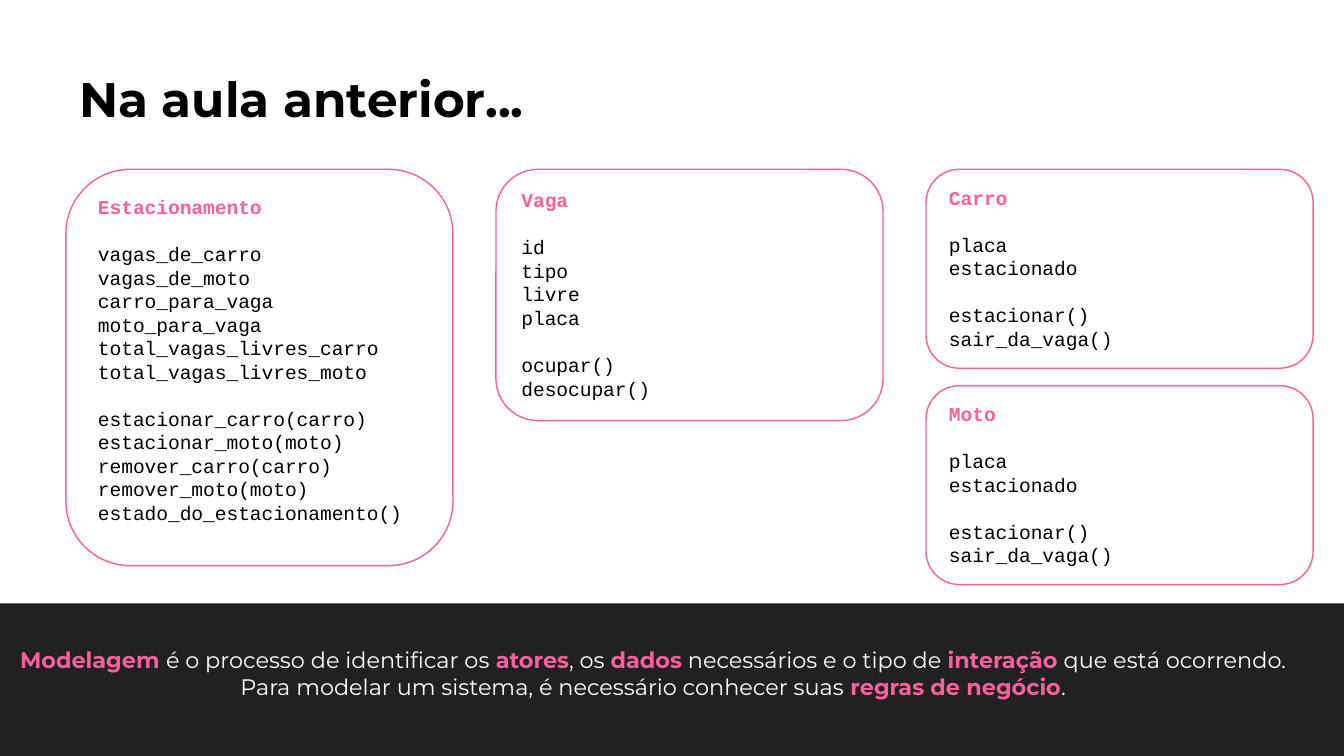
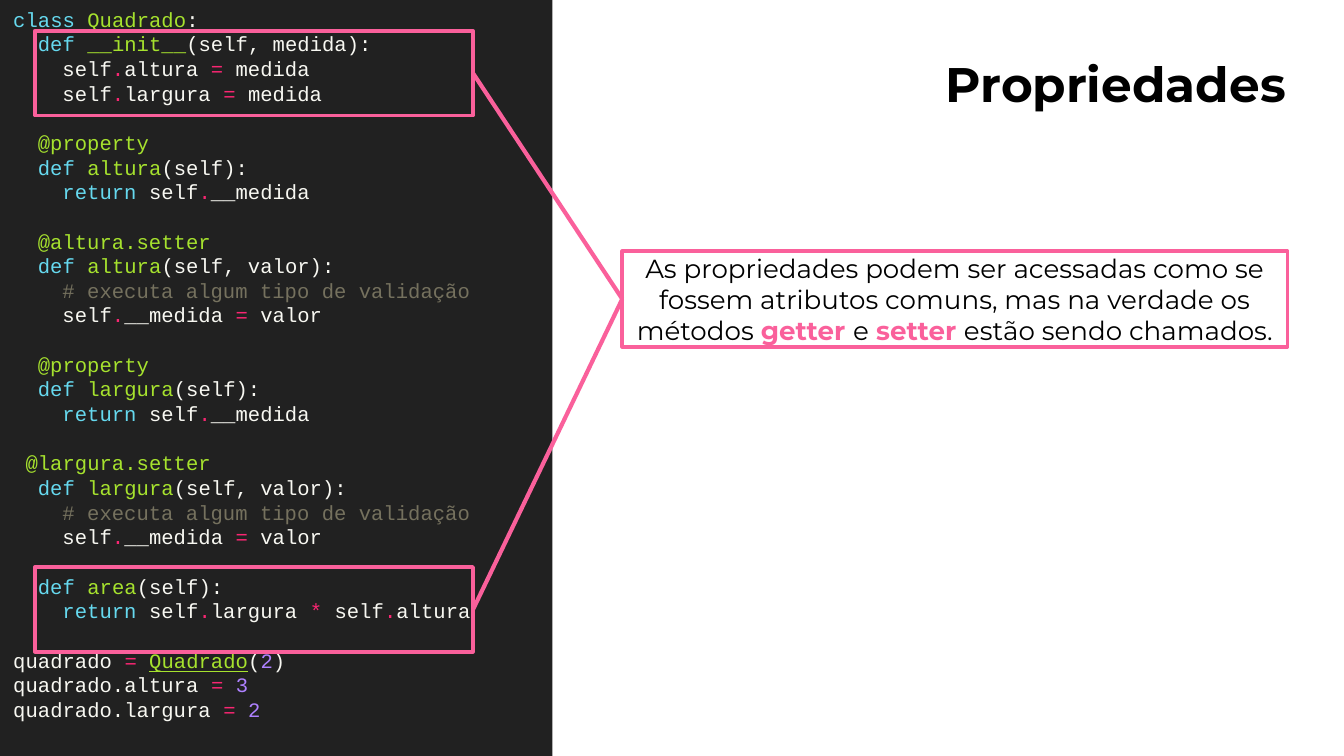
from pptx import Presentation
from pptx.dml.color import RGBColor
from pptx.enum.shapes import MSO_CONNECTOR, MSO_SHAPE as SHAPE
from pptx.enum.text import MSO_ANCHOR, PP_ALIGN as ALIGN
from pptx.oxml.ns import qn
from pptx.util import Inches, Pt
from lxml import etree

# Palette and type
PINK = RGBColor(0xFA, 0x60, 0x9B)
BLACK = RGBColor(0x00, 0x00, 0x00)
WHITE = RGBColor(0xFF, 0xFF, 0xFF)
DARK = RGBColor(0x21, 0x21, 0x21)
KEYWORD = RGBColor(0x66, 0xD9, 0xEF)
NAME = RGBColor(0xA6, 0xE2, 0x2E)
PLAIN = RGBColor(0xF8, 0xF8, 0xF2)
OPERATOR = RGBColor(0xF9, 0x26, 0x72)
COMMENT = RGBColor(0x75, 0x71, 0x5E)
NUMBER = RGBColor(0xAE, 0x81, 0xFF)
SANS, MONO = "Montserrat", "Courier New"
LEADING = 1.2

prs = Presentation()
prs.slide_width, prs.slide_height = Inches(10), Inches(5.625)
COL, ROW = prs.slide_width / 100, prs.slide_height / 100  # 100 x 100 grid


def add_box(slide, kind, left, top, width, height, fill=None, line=None):
    """Place a box on the grid; without a kind it is a plain text box."""
    place = [int(left * COL), int(top * ROW), int(width * COL), int(height * ROW)]
    if kind is None:
        box = slide.shapes.add_textbox(*place)
    else:
        box = slide.shapes.add_shape(kind, *place)
        box.shadow.inherit = False
        if fill is None:
            box.fill.background()
        else:
            box.fill.solid()
            box.fill.fore_color.rgb = fill
        if line is None:
            box.line.fill.background()
        else:
            box.line.color.rgb = PINK
            box.line.width = Pt(line)
    box.text_frame.word_wrap = True
    box.text_frame.vertical_anchor = MSO_ANCHOR.TOP
    return box


def write(paragraph, runs, font, size, bold_color=None, align=ALIGN.LEFT):
    """Add (text, colour) runs; runs in bold_color become bold."""
    paragraph.alignment = align
    for text, color in runs:
        run = paragraph.add_run()
        run.text = text
        run.font.name, run.font.size = font, Pt(size)
        run.font.color.rgb = color
        run.font.bold = color == bold_color


# Slides and their titles
slides = []
for heading, left, top, width, align in (
    ("Na aula anterior...", 4.9, 7.29, 78.3, ALIGN.LEFT),
    ("Propriedades", 45.6, 5.33, 51.1, ALIGN.RIGHT),
):
    slide = prs.slides.add_slide(prs.slide_layouts[6])
    title = add_box(slide, None, left, top, width, 11.38).text_frame
    title.margin_top = title.margin_bottom = Inches(0.1)
    write(title.paragraphs[0], [(heading, BLACK)], SANS, 26, BLACK, align)
    slides.append(slide)
modeling, properties = slides

# Slide 1: class cards (column, top, height, class, attributes, methods)
CARD_LEFT, CARD_STEP, CARD_WIDTH, CARD_TOP, CARD_SIZE = 4.9, 32, 28.8, 22.4, 10.5
vehicle = ["placa", "estacionado"], ["estacionar()", "sair_da_vaga()"]
cards = [
    (0, CARD_TOP, 52.44, "Estacionamento",
     ["vagas_de_carro", "vagas_de_moto", "carro_para_vaga", "moto_para_vaga",
      "total_vagas_livres_carro", "total_vagas_livres_moto"],
     ["estacionar_carro(carro)", "estacionar_moto(moto)", "remover_carro(carro)",
      "remover_moto(moto)", "estado_do_estacionamento()"]),
    (1, CARD_TOP, 33.24, "Vaga",
     ["id", "tipo", "livre", "placa"], ["ocupar()", "desocupar()"]),
    (2, CARD_TOP, 26.31, "Carro", *vehicle),
    (2, 51.02, 26.31, "Moto", *vehicle),
]
for column, top, height, class_name, attributes, methods in cards:
    card = add_box(modeling, SHAPE.ROUNDED_RECTANGLE, CARD_LEFT + column * CARD_STEP,
                   top, CARD_WIDTH, height, line=0.75).text_frame
    for members in ([class_name], attributes, methods):
        color = PINK if members == [class_name] else BLACK
        for i, member in enumerate(members):
            heading_line = color == PINK
            paragraph = card.paragraphs[0] if heading_line else card.add_paragraph()
            write(paragraph, [(member, color)], MONO, CARD_SIZE, PINK)
            paragraph.line_spacing = Pt(CARD_SIZE * LEADING)
            if i == 0 and not heading_line:
                paragraph.space_before = Pt(CARD_SIZE * LEADING)

# Slide 1: definition band
add_box(modeling, SHAPE.RECTANGLE, 0, 79.82, 100, 20.18, fill=DARK)
definition = add_box(modeling, None, -1.5, 83.73, 100, 12.27).text_frame
definition.margin_left, definition.margin_right = Inches(0.22), Inches(0.2)
definition.margin_top = definition.margin_bottom = Inches(0.1)
write(definition.paragraphs[0], [
    ("Modelagem ", PINK), ("é o processo de identificar os ", WHITE),
    ("atores", PINK), (", os ", WHITE), ("dados", PINK),
    (" necessários e o tipo de ", WHITE), ("interação", PINK),
    (" que está ocorrendo. Para modelar um sistema, é necessário conhecer suas ", WHITE),
    ("regras de negócio", PINK), (".", WHITE),
], SANS, 12, PINK, ALIGN.CENTER)

# Slide 2: code as (indent in characters, starts a block, runs)
CODE_SIZE = 11
CHAR = Pt(CODE_SIZE * 0.6)
define, give = ("def ", KEYWORD), ("return ", KEYWORD)
this, dot, equals = ("self", PLAIN), (".", OPERATOR), ("= ", OPERATOR)
code = [
    (0, False, [("class ", KEYWORD), ("Quadrado", NAME), (":", PLAIN)]),
    (2, False, [define, ("__init__", NAME), ("(self, medida):", PLAIN)]),
]
for side in ("altura ", "largura "):
    code.append((4, False, [this, dot, (side, PLAIN), equals, ("medida", PLAIN)]))
for side, setter_indent in (("altura", 2), ("largura", 1)):
    code += [
        (2, True, [("@property", NAME)]),
        (2, False, [define, (side, NAME), ("(self):", PLAIN)]),
        (4, False, [give, this, dot, ("__medida", PLAIN)]),
        (setter_indent, True, [(f"@{side}.setter", NAME)]),
        (2, False, [define, (side, NAME), ("(self, valor):", PLAIN)]),
        (4, False, [("# executa algum tipo de validação", COMMENT)]),
        (4, False, [this, dot, ("__medida ", PLAIN), equals, ("valor", PLAIN)]),
    ]
code += [
    (2, True, [define, ("area", NAME), ("(self):", PLAIN)]),
    (4, False, [give, this, dot, ("largura ", PLAIN), ("* ", OPERATOR),
                this, dot, ("altura", PLAIN)]),
    (0, True, [("quadrado ", PLAIN), equals, ("Quadrado", NAME), ("(", PLAIN),
               ("2", NUMBER), (")", PLAIN)]),
    (0, False, [("quadrado.altura ", PLAIN), equals, ("3", NUMBER)]),
    (0, False, [("quadrado.largura ", PLAIN), equals, ("2", NUMBER)]),
]
listing = add_box(properties, SHAPE.RECTANGLE, 0, 0, 41.1, 100, fill=DARK).text_frame
for number, (indent, starts_block, runs) in enumerate(code):
    paragraph = listing.add_paragraph() if number else listing.paragraphs[0]
    write(paragraph, runs, MONO, CODE_SIZE)
    paragraph.line_spacing = Pt(CODE_SIZE * LEADING)
    if starts_block:
        paragraph.space_before = Pt(CODE_SIZE * LEADING)
    paragraph._p.get_or_add_pPr().set("marL", str(indent * CHAR))
constructor_call = listing.paragraphs[-3].runs[2]
constructor_call.font.underline = True

# Slide 2: callout, joined to the highlighted methods
callout = add_box(properties, SHAPE.RECTANGLE, 46.3, 33.24, 49.5, 12.62, line=2)
message = callout.text_frame
message.vertical_anchor = MSO_ANCHOR.MIDDLE
message.margin_left = message.margin_right = Inches(0.05)
write(message.paragraphs[0], [
    ("As propriedades podem ser acessadas como se fossem atributos comuns, "
     "mas na verdade os métodos ", BLACK),
    ("getter ", PINK), ("e", BLACK), (" setter ", PINK),
    ("estão sendo chamados.", BLACK),
], SANS, 14, PINK, ALIGN.CENTER)
for top in (4.09, 75.02):
    highlight = add_box(properties, SHAPE.RECTANGLE, 2.6, top, 32.6, 11.2, line=2)
    link = properties.shapes.add_connector(MSO_CONNECTOR.STRAIGHT, 0, 0, 0, 0)
    link.begin_connect(highlight, 3)
    link.end_connect(callout, 1)
    link.line.color.rgb = PINK
    link.line.width = Pt(2.25)
    etree.SubElement(link._element.spPr, qn("a:effectLst"))

prs.save("out.pptx")
